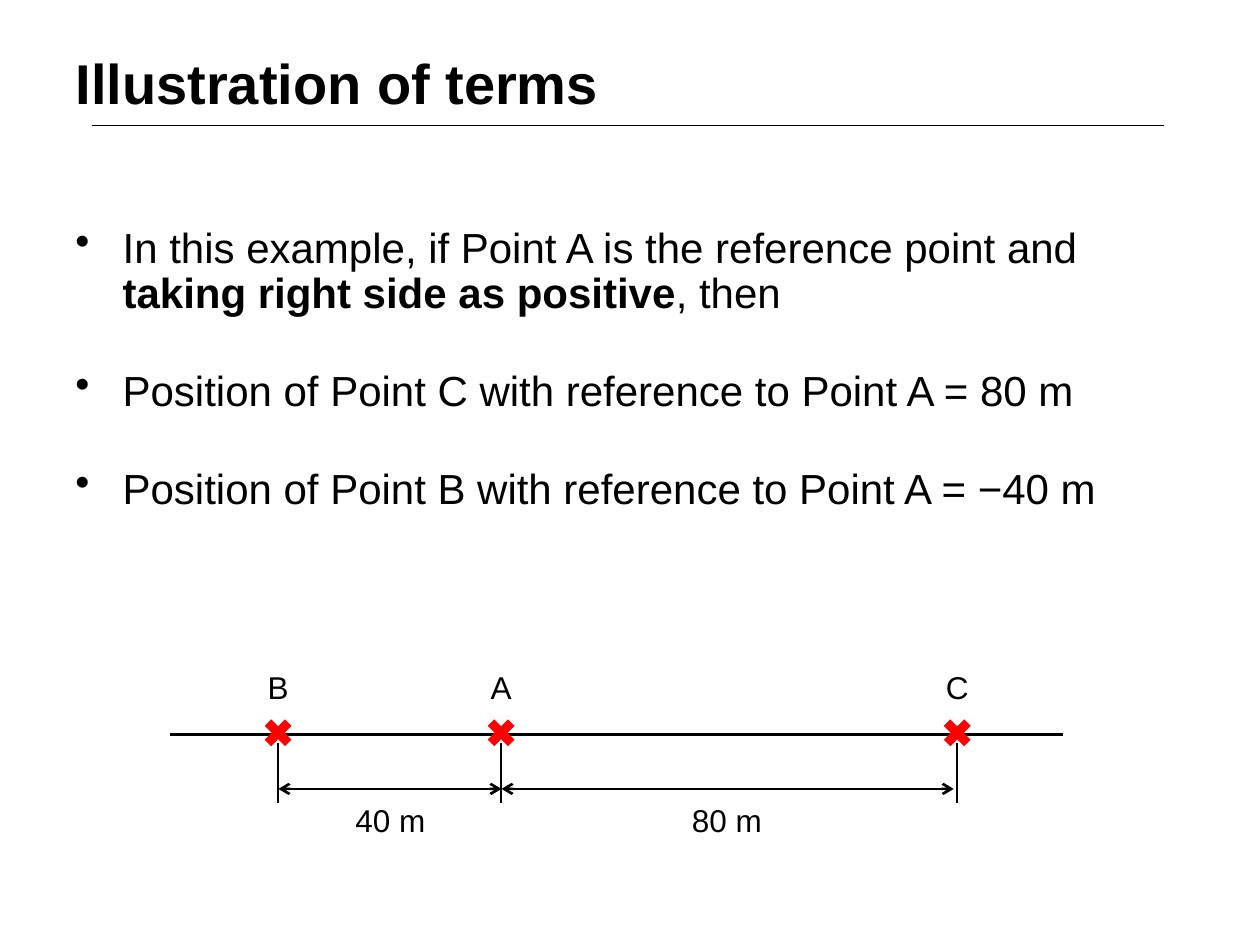
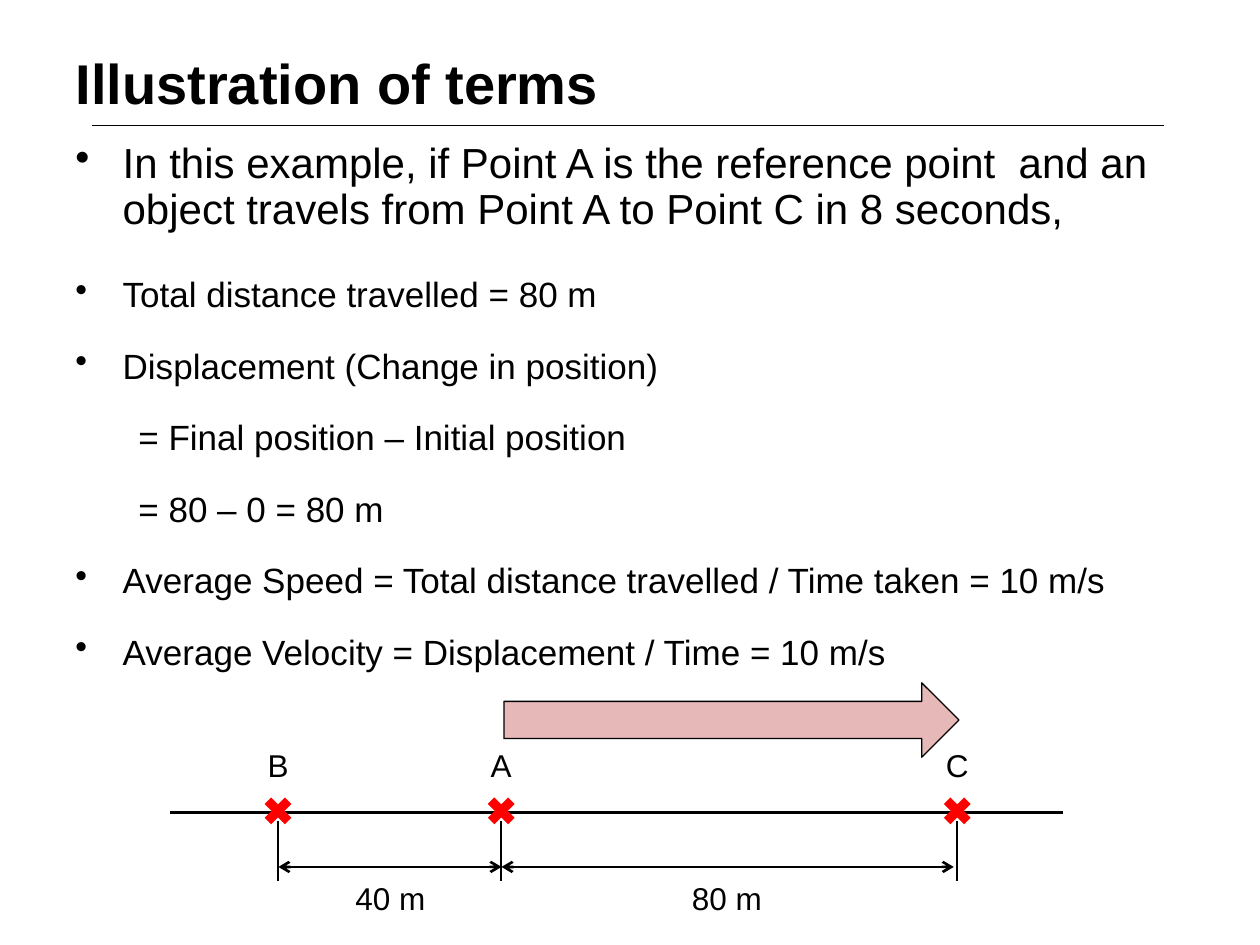
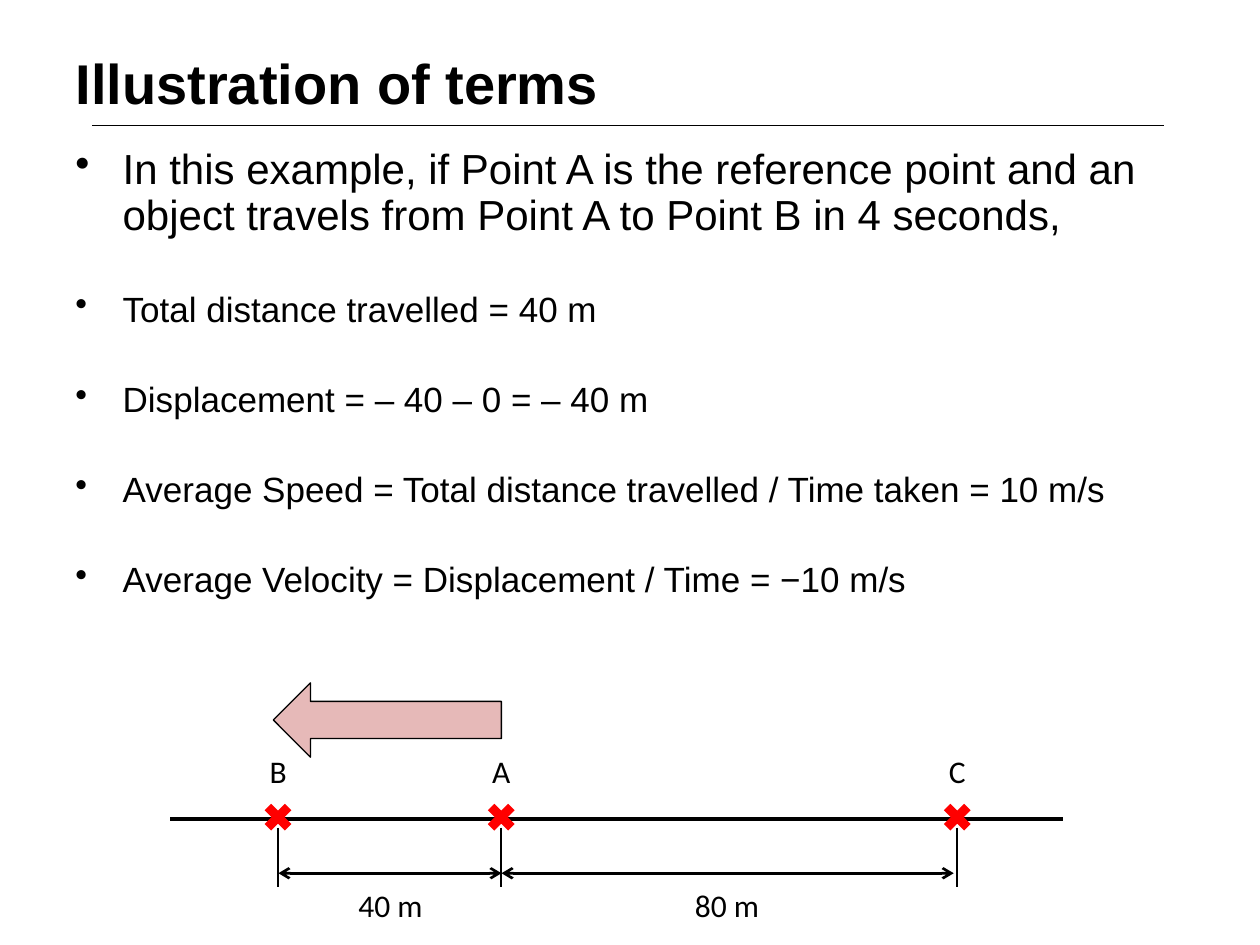
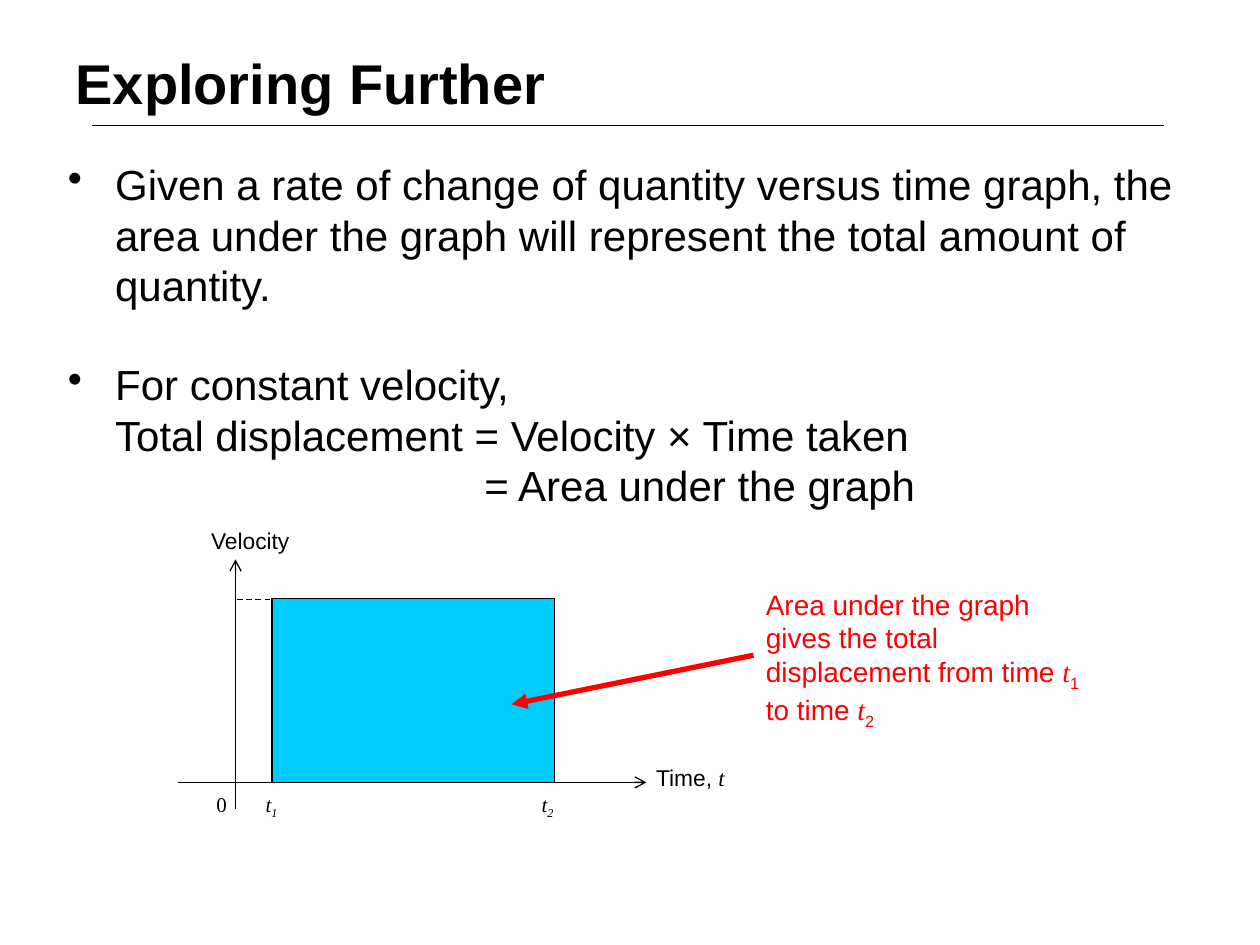
from lxml import etree
from pptx import Presentation
from pptx.dml.color import RGBColor
from pptx.enum.dml import MSO_LINE
from pptx.enum.shapes import MSO_CONNECTOR, MSO_SHAPE
from pptx.enum.text import MSO_ANCHOR, PP_ALIGN
from pptx.oxml.ns import qn
from pptx.util import Pt

STRAIGHT = MSO_CONNECTOR.STRAIGHT
CROSS = MSO_SHAPE.MATH_MULTIPLY
RIGHT = MSO_SHAPE.RIGHT_ARROW
LEFT = MSO_SHAPE.LEFT_ARROW
RECT = MSO_SHAPE.RECTANGLE
DASH = MSO_LINE.DASH
TOP = MSO_ANCHOR.TOP
START = PP_ALIGN.LEFT
MID = PP_ALIGN.CENTER

HEX = {"ink": "000000", "red": "FF0000", "pink": "E6B9B8", "sky": "00CCFF"}
INK = {key: RGBColor.from_string(code) for key, code in HEX.items()}


def write(shapes, area, paras, size, face="Arial", tint="ink", wrap=True):
    box = shapes.add_textbox(*map(Pt, area))
    frame = box.text_frame
    frame.word_wrap = wrap
    for count, (form, runs) in enumerate(paras):
        para = frame.paragraphs[0] if count == 0 else frame.add_paragraph()
        for key, value in form.items():
            if key not in ("left", "hang", "dot"):
                setattr(para, key, value)
        props = para._p.get_or_add_pPr()
        props.set("marL", str(Pt(form.get("left", 0))))
        props.set("indent", str(Pt(form.get("hang", 0))))
        if "dot" in form:
            etree.SubElement(props, qn("a:buChar")).set("char", form["dot"])
        for text, style in runs:
            run = para.add_run()
            run.text = text
            run.font.color.rgb = INK[tint]
            for key, value in ({"name": face, "size": Pt(size)} | style).items():
                if key == "base":
                    run._r.get_or_add_rPr().set("baseline", str(value))
                else:
                    setattr(run.font, key, value)
    return box


def draw(shapes, ends, width, tint="ink", head=None, tail=None):
    line = shapes.add_connector(STRAIGHT, *map(Pt, ends))
    line.line.width = Pt(width)
    line.line.color.rgb = INK[tint]
    for tag, kind in (("a:headEnd", head), ("a:tailEnd", tail)):
        if kind:
            etree.SubElement(line.line._ln, qn(tag)).set("type", kind)
    etree.SubElement(line.element.spPr, qn("a:effectLst"))
    return line


deck = Presentation()
deck.slide_width, deck.slide_height = Pt(720), Pt(540)
plan = deck.slide_layouts[5]

slides = []
for name in ["Illustration of terms"] * 3 + ["Exploring Further"]:
    slide = deck.slides.add_slide(plan)
    title = slide.shapes.title
    for key, value in {"left": 36, "top": 21.6, "width": 648, "height": 90}.items():
        setattr(title, key, Pt(value))
    frame = title.text_frame
    frame.text = name
    frame.vertical_anchor = TOP
    frame.margin_top = Pt(6)
    para = frame.paragraphs[0]
    para.alignment = START
    look = {"name": "Arial", "size": Pt(32), "bold": True}
    for key, value in look.items():
        setattr(para.runs[0].font, key, value)
    para.runs[0].font.color.rgb = INK["ink"]
    slides.append(slide)

rule = draw(slides[0].shapes, (52.6, 71.3, 665.3, 71.3), 0.25)
plan.shapes.element.append(rule.element)

hang = {"left": 27, "hang": -27}
item = hang | {"dot": "•"}
wide = item | {"line_spacing": 0.9, "space_before": Pt(30)}
loose = {"line_spacing": 1.2, "space_before": Pt(6), "space_after": Pt(6)}
point = item | loose
first = point | {"space_before": Pt(18)}
step = loose | {"left": 36}
big = {"size": Pt(24)}

texts = [
    ((36, 126, 648, 356.4), 24, [
        (wide, [("In this example, if Point A is the reference point and ", {}),
                ("taking right side as positive", {"bold": True}),
                (", then", {})]),
        (wide, [("Position of Point C with reference to Point A = 80 m", {})]),
        (wide, [("Position of Point B with reference to Point A = −40 m", {})]),
    ]),
    ((36, 77.8, 658, 380.9), 20, [
        (wide, [("In this example, if Point A is the reference point  and an object "
                 "travels from Point A to Point C in 8 seconds,", big)]),
        (first, [("Total distance travelled = 80 m", {})]),
        (point, [("Displacement (Change in position)", {})]),
        (step, [("= Final position – Initial position", {})]),
        (step, [("= 80 – 0 = 80 m", {})]),
        (point, [("Average Speed = Total distance travelled / Time taken = 10 m/s", {})]),
        (point, [("Average Velocity = Displacement / Time = 10 m/s", {})]),
    ]),
    ((36, 81.4, 656.6, 356.4), 20, [
        (wide, [("In this example, if Point A is the reference point and an object "
                 "travels from Point A to Point B in 4 seconds,", big)]),
        (wide, [("Total distance travelled = 40 m", {})]),
        (wide, [("Displacement = – 40 – 0 = – 40 m", {})]),
        (wide, [("Average Speed = Total distance travelled / Time taken = 10 m/s", {})]),
        (wide, [("Average Velocity = Displacement / Time = −10 m/s", {})]),
    ]),
    ((31.7, 87.1, 666, 356.4), 24, [
        (item, [("Given a rate of change of quantity versus time graph, the area under "
                 "the graph will represent the total amount of quantity.", {})]),
        (item | {"space_before": Pt(28)}, [("For constant velocity,", {})]),
        (hang | {"hang": 0}, [("Total displacement = Velocity × Time taken", {})]),
        ({"left": 238}, [("= Area under the graph", {})]),
    ]),
]
for slide, (area, size, paras) in zip(slides, texts):
    write(slide.shapes, area, paras, size)

spots = {"A": 286.4, "B": 158.9, "C": 547}
spans = [("40 m", 159.1, 286.6, 195.8), ("80 m", 286.6, 545, 388.1)]
center = {"alignment": MID}
for slide, y, face in zip(slides, (419.8, 464.4, 468), ("Arial", "Arial", "Calibri")):
    group = slide.shapes.add_group_shape().shapes
    draw(group, (97.2, y, 607.7, y), 2)
    for name, x in spots.items():
        mark = group.add_shape(CROSS, Pt(x - 11.15), Pt(y - 12.2), Pt(22.3), Pt(22.3))
        mark.shadow.inherit = False
        mark.fill.solid()
        mark.fill.fore_color.rgb = INK["red"]
        mark.line.fill.background()
        write(group, (x - 19.5, y - 41.8, 39, 29), [(center, [(name, {})])], 18, face)
        draw(group, (x, y + 5, x, y + 38.9), 1)
    for name, start, end, left in spans:
        draw(group, (start, y + 31, end, y + 31), 1.5, head="arrow", tail="arrow")
        write(group, (left, y + 34.6, 54.7, 29), [(center, [(name, {})])], 18, face, wrap=False)

for slide, kind, x, width in ((slides[1], RIGHT, 288, 260), (slides[2], LEFT, 156.2, 130.3)):
    arrow = slide.shapes.add_shape(kind, Pt(x), Pt(390.2), Pt(width), Pt(42.5))
    arrow.shadow.inherit = False
    arrow.fill.solid()
    arrow.fill.fore_color.rgb = INK["pink"]
    arrow.line.color.rgb = INK["ink"]
    arrow.line.width = Pt(0.75)

shapes = slides[3].shapes
serif = {"name": "Times New Roman", "italic": True}
sub = {"base": -25000}
draw(shapes, (101.5, 447.1, 369.4, 447.1), 0.75, tail="arrow")
field = shapes.add_shape(RECT, Pt(155.5), Pt(342), Pt(161.3), Pt(105.1))
field.shadow.inherit = False
field.fill.solid()
field.fill.fore_color.rgb = INK["sky"]
field.line.color.rgb = INK["ink"]
field.line.width = Pt(0.75)
draw(shapes, (134.6, 462.2, 134.6, 319.7), 0.75, tail="arrow")
draw(shapes, (154.1, 342.7, 134.6, 342.7), 0.75).line.dash_style = DASH

write(shapes, (81.4, 297.4, 123.1, 23), [(center, [("Velocity", {})])], 13)
write(shapes, (367.9, 432.7, 72, 23), [({}, [("Time, ", {}), ("t", serif)])], 13)
ticks = [
    (116.6, [("0", {"name": "Times New Roman"})]),
    (144.7, [("t", serif), ("1", serif | sub)]),
    (302.4, [("t", serif), ("2", serif | sub)]),
]
for x, runs in ticks:
    write(shapes, (x, 448.6, 45.4, 40.3), [({}, runs)], 12)

note = write(shapes, (430.6, 331.9, 204.5, 85), [({}, [
    ("Area under the graph gives the total displacement from time ", {}),
    ("t", serif), ("1", sub), (" to time ", {}), ("t", serif), ("2", sub),
])], 16, tint="red")
lead = draw(shapes, (432.7, 373.7, 292.3, 402.5), 3, "red", tail="triangle")
lead.begin_connect(note, 1)

deck.save("out.pptx")
